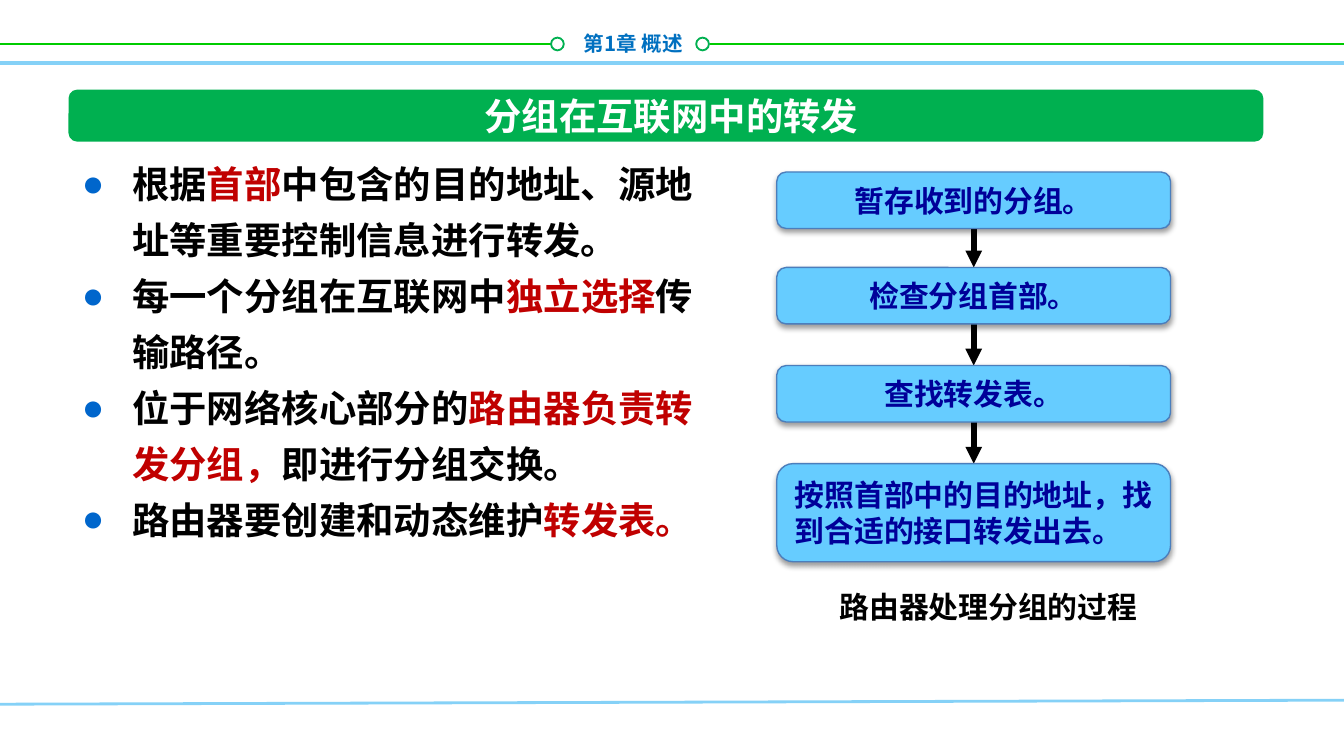
import pptx
import pptx.util
import pptx.dml.color
import pptx.enum.shapes
import pptx.enum.text
import pptx.oxml
import pptx.oxml.ns

Pt = pptx.util.Pt
SHAPE = pptx.enum.shapes.MSO_SHAPE
ALIGN = pptx.enum.text.PP_ALIGN
ANCHOR = pptx.enum.text.MSO_ANCHOR
NS = pptx.oxml.ns.nsdecls("a")
FONT = "Noto Sans CJK SC"
U = pptx.util.Inches(0.1)  # grid unit: the slide is 100 columns by 56.25 rows


def paint(fill, color):
    """Make the fill of a shape, line or font solid in a hex colour."""
    fill.solid()
    fill.fore_color.rgb = pptx.dml.color.RGBColor.from_string(color)


def write(tf, text, size=16, color="000000", accent="C00000", align=ALIGN.LEFT,
          anchor=ANCHOR.TOP, spacing=None, bullet=None):
    """Write one paragraph per line of text; parts between * take the accent colour."""
    tf.word_wrap = True
    tf.vertical_anchor = anchor
    for i, line in enumerate(text.split("\n")):
        p = tf.add_paragraph() if i else tf.paragraphs[0]
        if bullet:
            pPr = p._p.get_or_add_pPr()
            pPr.set("marL", str(int(3.75 * U)))
            pPr.set("indent", str(int(-3.75 * U)))
            for xml in (f'<a:buClr {NS}><a:srgbClr val="{bullet}"/></a:buClr>',
                        f'<a:buFont {NS} typeface="Arial"/>',
                        f'<a:buChar {NS} char="●"/>'):
                pPr.append(pptx.oxml.parse_xml(xml))
        p.alignment = align
        if spacing:
            p.line_spacing = Pt(spacing)
        for j, part in enumerate(line.split("*")):
            if not part:
                continue
            r = p.add_run()
            r.text = part
            r.font.size, r.font.bold, r.font.name = Pt(size), True, FONT
            paint(r.font.fill, accent if j % 2 else color)
            r._r.get_or_add_rPr().append(
                pptx.oxml.parse_xml(f'<a:ea {NS} typeface="{FONT}"/>'))


prs = pptx.Presentation()
prs.slide_width, prs.slide_height = int(100 * U), int(56.25 * U)
s = prs.slides.add_slide(prs.slide_layouts[6])

# Flow steps: text, top row, height in rows, alignment
steps = [
    ("暂存收到的分组。", 12.8, 4.2, ALIGN.CENTER),
    ("检查分组首部。", 19.9, 4.2, ALIGN.CENTER),
    ("查找转发表。", 27.2, 4.2, ALIGN.CENTER),
    ("按照首部中的目的地址，找到合适的接口转发出去。", 34.5, 7.3, ALIGN.LEFT),
]
step_left, step_width = 57.8, 29.3
step_mid = step_left + step_width / 2

# Lines: x1, y1, x2, y2, colour, width, arrowhead
lines = [
    (0, 3.3, 41, 3.3, "00CC00", 1, False),
    (52.8, 3.3, 100, 3.3, "00CC00", 1, False),
    (0, 52.4, 100, 52.1, "85D1F7", 1.5, False),
    (0, 4.7, 100, 4.7, "85D1F7", 2, False),
]
for (_, top, height, _), (_, next_top, _, _) in zip(steps, steps[1:]):
    lines.append((step_mid, top + height, step_mid, next_top, "000000", 3, True))

for x1, y1, x2, y2, color, width, arrow in lines:
    c = s.shapes.add_connector(pptx.enum.shapes.MSO_CONNECTOR.STRAIGHT,
                               *(int(v * U) for v in (x1, y1, x2, y2)))
    c.line.width = Pt(width)
    paint(c.line.fill, color)
    if arrow:
        c.line._get_or_add_ln().append(
            pptx.oxml.parse_xml(f'<a:tailEnd {NS} type="triangle"/>'))
    c._element.spPr.append(pptx.oxml.parse_xml(f"<a:effectLst {NS}/>"))

# Header rings
for left in (41, 51.8):
    ring = s.shapes.add_shape(SHAPE.OVAL, *(int(v * U) for v in (left, 2.8, 0.95, 0.95)))
    ring.shadow.inherit = False
    paint(ring.fill, "FFFFFF")
    paint(ring.line.fill, "00B050")
    ring.line.width = Pt(1)

# Title bar
bar = s.shapes.add_shape(SHAPE.ROUNDED_RECTANGLE,
                         *(int(v * U) for v in (5.1, 6.67, 88.9, 3.87)))
bar.shadow.inherit = False
paint(bar.fill, "00B050")
bar.line.fill.background()

# Flow boxes with a soft shadow below
for text, top, height, align in steps:
    sp = s.shapes.add_shape(SHAPE.ROUNDED_RECTANGLE,
                            *(int(v * U) for v in (step_left, top, step_width, height)))
    sp.shadow.inherit = False
    paint(sp.fill, "66CCFF")
    paint(sp.line.fill, "4B7EBC")
    sp.line.width = Pt(0.75)
    sp._element.spPr.find(pptx.oxml.ns.qn("a:effectLst")).append(pptx.oxml.parse_xml(
        f'<a:outerShdw {NS} blurRad="{Pt(3.1)}" dist="{Pt(1.6)}" dir="5400000" '
        'rotWithShape="0"><a:srgbClr val="000000"><a:alpha val="38000"/>'
        '</a:srgbClr></a:outerShdw>'))
    write(sp.text_frame, text, color="000099", align=align, anchor=ANCHOR.MIDDLE)

points = """根据*首部*中包含的目的地址、源地址等重要控制信息进行转发。
每一个分组在互联网中*独立选择*传输路径。
位于网络核心部分的*路由器负责转发分组，*即进行分组交换。
路由器要创建和动态维护*转发表。*"""

# Text boxes: place on the grid, text, format
texts = [
    ((38.4, 1.8, 13.4, 2.8), "第1章 概述",
     dict(size=11, color="0070C0", align=ALIGN.RIGHT)),
    ((13.7, 6.65, 72.5, 3.9), "分组在互联网中的转发",
     dict(size=20, color="FFFFFF", align=ALIGN.CENTER, anchor=ANCHOR.MIDDLE)),
    ((5.1, 10.65, 48.2, 34.7), points, dict(size=20, spacing=30, bullet="0066CC")),
    ((61.3, 43.3, 24.5, 3.7), "路由器处理分组的过程", dict(align=ALIGN.CENTER)),
]
for place, text, fmt in texts:
    box = s.shapes.add_textbox(*(int(v * U) for v in place))
    write(box.text_frame, text, **fmt)

prs.save("out.pptx")
